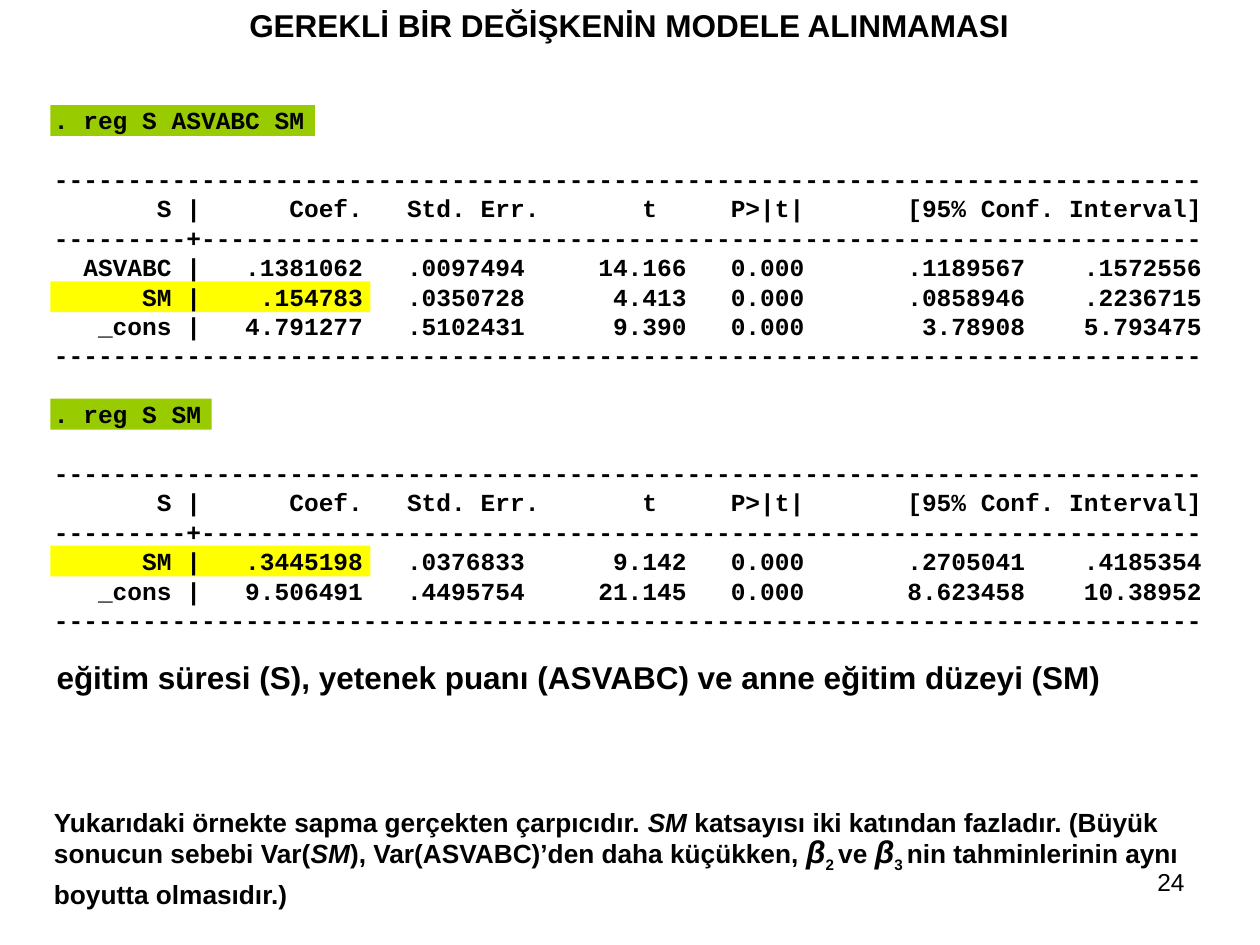
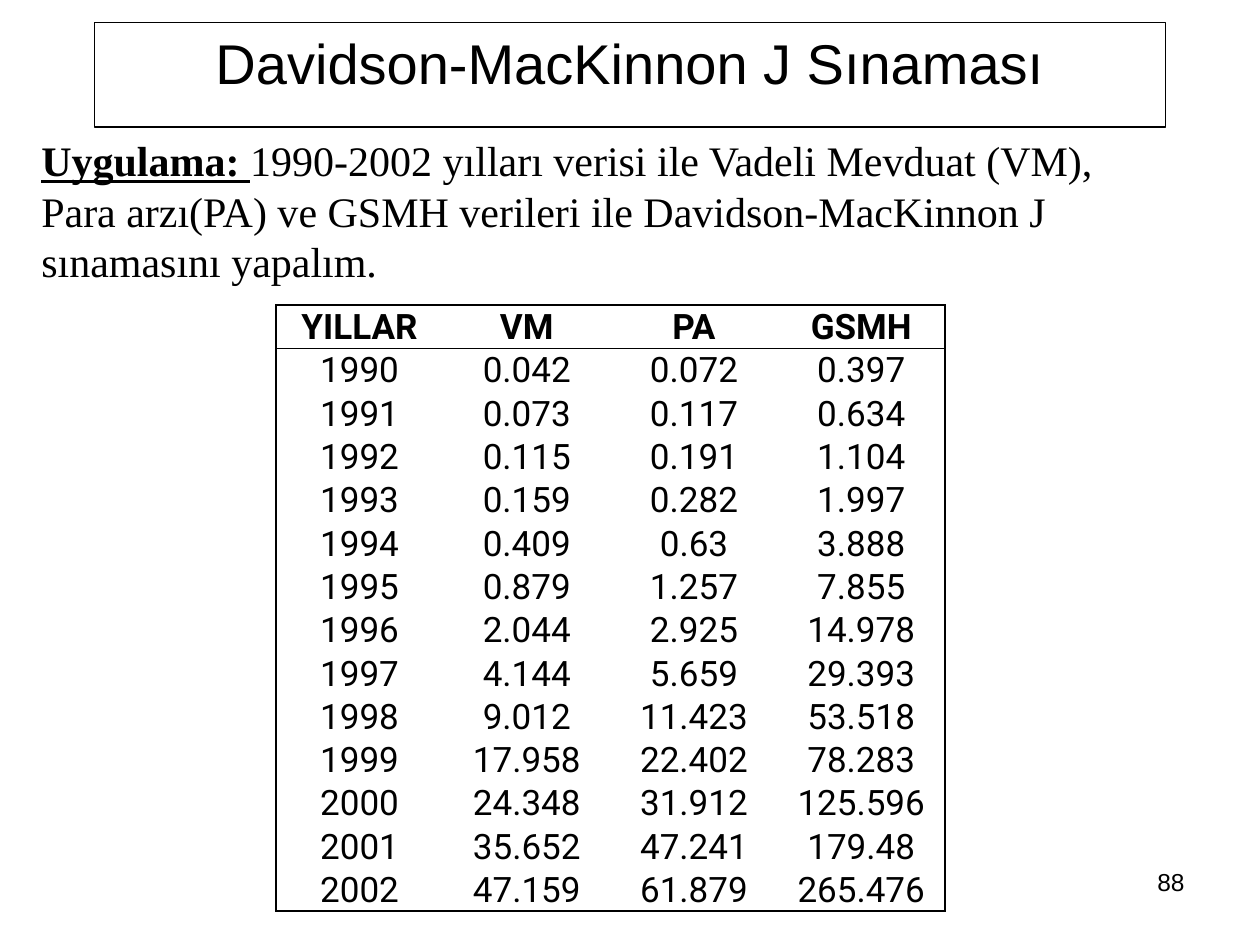
"""Build two econometrics slides: an omitted variable and the J test."""
from lxml import etree
from pptx import Presentation
from pptx.dml.color import RGBColor
from pptx.enum.shapes import MSO_SHAPE
from pptx.enum.text import MSO_ANCHOR, PP_ALIGN
from pptx.oxml.ns import qn
from pptx.util import Inches, Pt

RECT = MSO_SHAPE.RECTANGLE
TOP, BOTTOM = MSO_ANCHOR.TOP, MSO_ANCHOR.BOTTOM
LEFT, CENTER, RIGHT = PP_ALIGN.LEFT, PP_ALIGN.CENTER, PP_ALIGN.RIGHT

COLS, ROWS = 100, 75
CELL = Inches(0.1)
HUES = {"ink": "000000", "command": "99CC00", "result": "FFFF00"}

HEAVY = {"name": "Arial", "size": Pt(18), "bold": True}
CODE = {"name": "Courier New", "size": Pt(14), "bold": True}
NOTE = {"name": "Arial", "size": Pt(15), "bold": True}
PAGE = {"name": "Arial", "size": Pt(14)}
HEAD = {"name": "Arial", "size": Pt(32)}
TASK = {"name": "Times New Roman", "size": Pt(24)}
DATA = {"name": "Roboto", "size": Pt(20)}
SLANT = {"italic": True}
BETA = {"italic": True, "size": Pt(18)}
LABEL = {"bold": True, "underline": True}

CODE_TOP, CODE_STEP = 8.35, 2.33
RULE = "-" * 78
SPLIT = "-" * 9 + "+" + "-" * 68
NAMES = "       S |      Coef.   Std. Err.       t     P>|t|       [95% Conf. Interval]"
RUNS = [
    (". reg S ASVABC SM", [
        "  ASVABC |   .1381062   .0097494     14.166   0.000       .1189567    .1572556",
        "      SM |    .154783   .0350728      4.413   0.000       .0858946    .2236715",
        "   _cons |   4.791277   .5102431      9.390   0.000        3.78908    5.793475"]),
    (". reg S SM", [
        "      SM |   .3445198   .0376833      9.142   0.000       .2705041    .4185354",
        "   _cons |   9.506491   .4495754     21.145   0.000       8.623458    10.38952"]),
]
BANDS = [(0, 21, "command"), (6, 25.4, "result"),
         (10, 12.8, "command"), (15, 25.4, "result")]

SERIES = [
    ("YILLAR", "VM", "PA", "GSMH"),
    ("1990", "0.042", "0.072", "0.397"),
    ("1991", "0.073", "0.117", "0.634"),
    ("1992", "0.115", "0.191", "1.104"),
    ("1993", "0.159", "0.282", "1.997"),
    ("1994", "0.409", "0.63", "3.888"),
    ("1995", "0.879", "1.257", "7.855"),
    ("1996", "2.044", "2.925", "14.978"),
    ("1997", "4.144", "5.659", "29.393"),
    ("1998", "9.012", "11.423", "53.518"),
    ("1999", "17.958", "22.402", "78.283"),
    ("2000", "24.348", "31.912", "125.596"),
    ("2001", "35.652", "47.241", "179.48"),
    ("2002", "47.159", "61.879", "265.476"),
]


def grid(*cells):
    """Turn grid cells into lengths."""
    return [round(n * CELL) for n in cells]


def hue(name):
    """Look up a colour."""
    return RGBColor.from_string(HUES[name])


def style(font, form):
    """Apply format values to a font."""
    for key, value in form.items():
        setattr(font, key, value)
    font.color.rgb = hue("ink")


def write(par, runs, form, align=LEFT, pitch=None):
    """Fill a paragraph with runs of (text, changes, baseline)."""
    par.alignment = align
    if pitch:
        par.line_spacing = Pt(pitch)
    for text, change, *base in runs:
        run = par.add_run()
        run.text = text
        style(run.font, {**form, **change})
        if base:
            run.font._element.set("baseline", str(base[0]))


def text(slide, at, runs, form, align=LEFT, pitch=None, wrap=True):
    """Add a text box and return its frame."""
    frame = slide.shapes.add_textbox(*grid(*at)).text_frame
    frame.word_wrap = wrap
    write(frame.paragraphs[0], runs, form, align, pitch)
    return frame


def page(slide, number):
    """Add the page number."""
    text(slide, (71.7, 68.3, 23.3, 5.2), [(number, {})], PAGE, RIGHT)


def box(slide, at, fill=None):
    """Add a filled band or an outlined box."""
    shape = slide.shapes.add_shape(RECT, *grid(*at))
    shape.shadow.inherit = False
    if fill:
        shape.fill.solid()
        shape.fill.fore_color.rgb = hue(fill)
        shape.line.fill.background()
    else:
        shape.fill.background()
        shape.line.color.rgb = hue("ink")
        shape.line.width = Pt(0.75)
    return shape


def listing(slide):
    """Add the regression output over its bands."""
    for line, width, fill in BANDS:
        box(slide, (4, CODE_TOP + line * CODE_STEP, width, 2.45), fill)
    lines = []
    for command, rows in RUNS:
        lines += [command, RULE, NAMES, SPLIT, *rows, RULE]
    pitch = 16.8
    at = (3.3, CODE_TOP - 0.5, 93.3, 52)
    frame = text(slide, at, [(lines[0], {})], CODE, pitch=pitch)
    for last, line in zip(lines, lines[1:]):
        par = frame.add_paragraph()
        if line.startswith(".") or last.startswith("."):
            par.space_before = Pt(pitch)
        write(par, [(line, {})], CODE, pitch=pitch)


def edge(cell, sides):
    """Draw the sides of a cell, given as side to points."""
    props = cell._tc.get_or_add_tcPr()
    for side in "LRTB":
        line = etree.SubElement(props, qn("a:ln" + side))
        if side in sides:
            line.set("w", str(Pt(sides[side])))
            fill = etree.SubElement(line, qn("a:solidFill"))
            etree.SubElement(fill, qn("a:srgbClr"), val=HUES["ink"])
        else:
            line.set("w", "0")
            etree.SubElement(line, qn("a:noFill"))


def table(slide, at, rows):
    """Add a data table framed outside and ruled below its head."""
    high, wide = len(rows), len(rows[0])
    grille = slide.shapes.add_table(high, wide, *grid(*at)).table
    grille.first_row = grille.horz_banding = False
    for row in grille.rows:
        row.height = grid(at[3] / high)[0]
    for r, row in enumerate(rows):
        for c, value in enumerate(row):
            cell = grille.cell(r, c)
            cell.vertical_anchor = BOTTOM
            cell.margin_left = cell.margin_right = cell.margin_top = Inches(0.01)
            cell.margin_bottom = 0
            write(cell.text_frame.paragraphs[0], [(value, {"bold": r == 0})],
                  DATA, CENTER)
            rules = {"L": c == 0, "R": c == wide - 1,
                     "T": {0: 1, 1: 0.5}.get(r, 0),
                     "B": {0: 0.5, high - 1: 1}.get(r, 0)}
            edge(cell, {side: size for side, size in rules.items() if size})
            cell.fill.background()


def omitted(slide):
    """Fill the slide on leaving out a needed variable."""
    listing(slide)
    page(slide, "24")
    text(slide, (3.3, 63.1, 93.3, 9.2), [
        ("Yukarıdaki örnekte sapma gerçekten çarpıcıdır. ", {}),
        ("SM ", SLANT),
        ("katsayısı iki katından fazladır. (Büyük sonucun sebebi Var(", {}),
        ("SM", SLANT),
        ("), Var(ASVABC)’den daha küçükken, ", {}),
        ("β", BETA), ("2 ", {}, -25000), ("ve ", {}),
        ("β", BETA), ("3 ", {}, -25000),
        ("nin tahminlerinin aynı boyutta olmasıdır.)", {}),
    ], NOTE, pitch=20.6)
    text(slide, (3.3, 0, 93.3, 5),
         [("GEREKLİ BİR DEĞİŞKENİN MODELE ALINMAMASI", {})], HEAVY, CENTER)
    text(slide, (3.5, 51.7, 85.1, 4), [
        ("eğitim süresi (S), yetenek puanı (ASVABC) ve anne eğitim düzeyi (SM)", {}),
    ], HEAVY, wrap=False)


def jtest(slide):
    """Fill the slide on the J test."""
    page(slide, "88")
    text(slide, (2.3, 10.2, 88.3, 13.1), [
        ("Uygulama: ", LABEL),
        ("1990-2002 yılları verisi ile Vadeli Mevduat (VM), Para arzı(PA) ve GSMH "
         "verileri ile Davidson-MacKinnon J sınamasını yapalım.", {}),
    ], TASK, pitch=28.8)
    table(slide, (21.9, 24.2, 53.1, 48.1), SERIES)
    frame = box(slide, (7.5, 1.8, 85, 8.3)).text_frame
    frame.vertical_anchor = TOP
    frame.word_wrap = True
    write(frame.paragraphs[0], [("Davidson-MacKinnon J Sınaması", {})],
          HEAD, CENTER, 38.4)


def main():
    """Build and save the deck."""
    deck = Presentation()
    deck.slide_width, deck.slide_height = grid(COLS, ROWS)
    for fill in (omitted, jtest):
        fill(deck.slides.add_slide(deck.slide_layouts[6]))
    deck.save("out.pptx")


if __name__ == "__main__":
    main()
